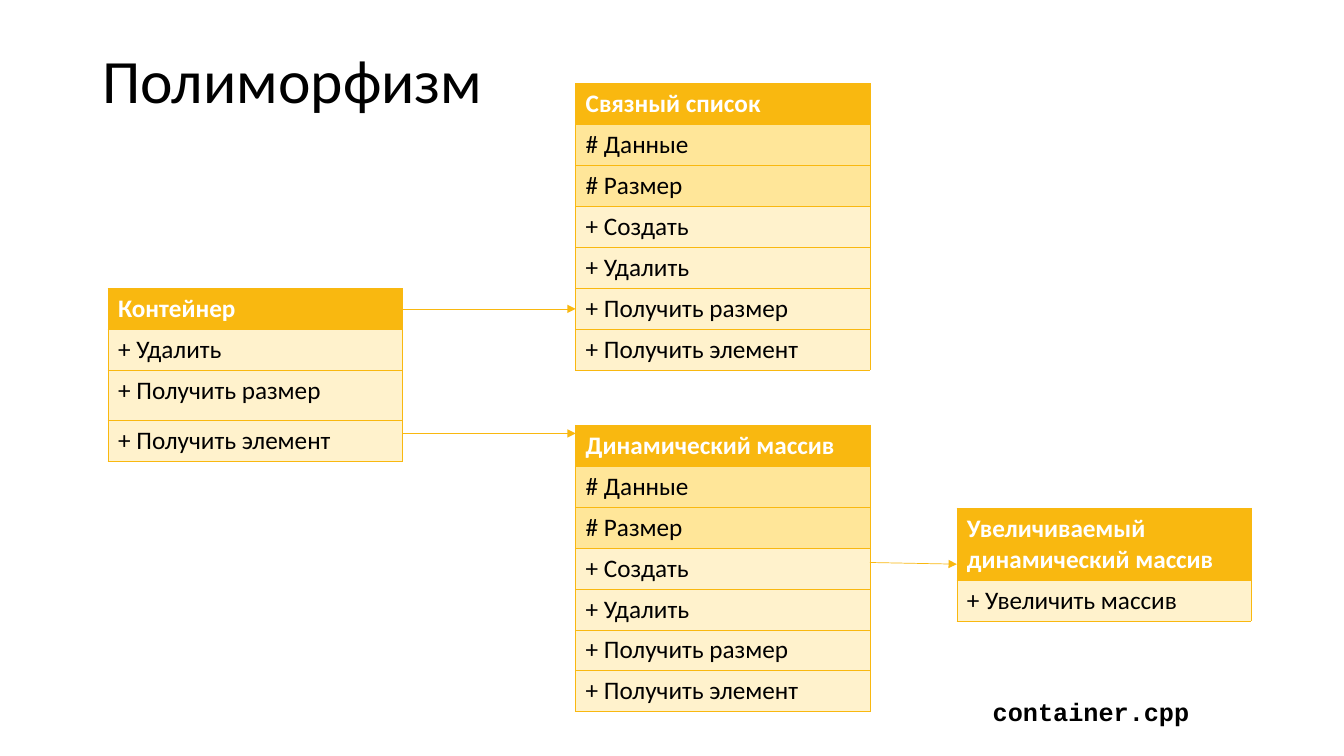
from lxml import etree
from pptx import Presentation
from pptx.dml.color import RGBColor
from pptx.enum.shapes import MSO_CONNECTOR
from pptx.enum.text import MSO_ANCHOR, MSO_AUTO_SIZE
from pptx.oxml.ns import qn
from pptx.util import Pt

COLORS = {
    "header": "F9B810",
    "field": "FFE699",
    "method": "FFF2CC",
    "white": "FFFFFF",
    "black": "000000",
}
FONT = "Calibri"
CLASS_W, ROW_H = 210.2, 29.25
BORDER_W = 0.5

FIELDS = ["# Данные", "# Размер"]
ACCESS = ["+ Удалить", "+ Получить размер", "+ Получить элемент"]
STORAGE = FIELDS + ["+ Создать"] + ACCESS


def rgb(name):
    return RGBColor.from_string(COLORS[name])


def style(p, size, color="black", bold=False, font=FONT):
    p.font.name, p.font.size, p.font.bold = font, Pt(size), bold
    p.font.color.rgb = rgb(color)


def add_text(s, box, text, size, wrap=True, **look):
    tb = s.shapes.add_textbox(*map(Pt, box))
    tf = tb.text_frame
    tf.word_wrap = wrap
    p = tf.paragraphs[0]
    p.text = text
    style(p, size, **look)
    return tf


def add_title(s, box, text):
    tf = add_text(s, box, text, 44)
    tf.vertical_anchor = MSO_ANCHOR.MIDDLE
    tf.paragraphs[0].line_spacing = 0.9


def add_file_name(s, box, text):
    tf = add_text(s, box, text, 18, wrap=False, bold=True, font="Courier New")
    tf.auto_size = MSO_AUTO_SIZE.SHAPE_TO_FIT_TEXT


def set_borders(cell):
    tc_pr = cell._tc.get_or_add_tcPr()
    for side in ("lnL", "lnR", "lnT", "lnB"):
        ln = etree.SubElement(tc_pr, qn(f"a:{side}"), w=str(Pt(BORDER_W)))
        fill = etree.SubElement(ln, qn("a:solidFill"))
        etree.SubElement(fill, qn("a:srgbClr"), val=COLORS["header"])


def add_class(s, x, y, name, members, heights=None):
    """Class table: a header, then fields (#) and methods (+).

    heights maps a row number to its height where it is not ROW_H.
    """
    rows = [name] + members
    row_heights = [(heights or {}).get(i, ROW_H) for i in range(len(rows))]
    frame = s.shapes.add_table(len(rows), 1, Pt(x), Pt(y), Pt(CLASS_W), Pt(sum(row_heights)))
    table = frame.table
    for i, (text, height) in enumerate(zip(rows, row_heights)):
        table.rows[i].height = Pt(height)
        cell = table.cell(i, 0)
        is_header = i == 0
        kind = "header" if is_header else "field" if text.startswith("#") else "method"
        set_borders(cell)
        cell.fill.solid()
        cell.fill.fore_color.rgb = rgb(kind)
        cell.text = text
        style(cell.text_frame.paragraphs[0], 18, "white" if is_header else "black", is_header)


def add_arrow(s, x1, y1, x2, y2):
    line = s.shapes.add_connector(MSO_CONNECTOR.STRAIGHT, *map(Pt, (x1, y1, x2, y2)))
    line.line.color.rgb = rgb("header")
    line.line.width = Pt(BORDER_W)
    etree.SubElement(line.line._get_or_add_ln(), qn("a:tailEnd"), type="triangle")
    etree.SubElement(line._element.spPr, qn("a:effectLst"))


def add_class_diagram(s, x, y):
    """Base class on the left, its two heirs in the middle, their heir on the right."""
    heir_x, grown_x = x + 334, x + 606.3
    base_y, array_y, grown_y = y + 146.2, y + 244, y + 303.2

    add_class(s, heir_x, array_y, "Динамический массив", STORAGE)
    add_class(s, grown_x, grown_y, "Увеличиваемый динамический массив",
              ["+ Увеличить массив"], {0: 51.3})
    add_arrow(s, heir_x + CLASS_W, array_y + 98, grown_x, array_y + 99.2)
    add_class(s, x, base_y, "Контейнер", ACCESS, {2: 36})
    add_class(s, heir_x, y, "Связный список", STORAGE)
    for arrow_y in (base_y + ROW_H / 2, array_y + 5.8):
        add_arrow(s, x + CLASS_W, arrow_y, heir_x, arrow_y)


def main():
    prs = Presentation()
    prs.slide_width, prs.slide_height = Pt(960), Pt(540)
    s = prs.slides.add_slide(prs.slide_layouts[6])
    add_title(s, (66, 28.8, 828, 61.2), "Полиморфизм")
    add_class_diagram(s, 77.2, 59.8)
    add_file_name(s, (702, 494, 155.5, 29), "container.cpp")
    prs.save("out.pptx")


if __name__ == "__main__":
    main()
